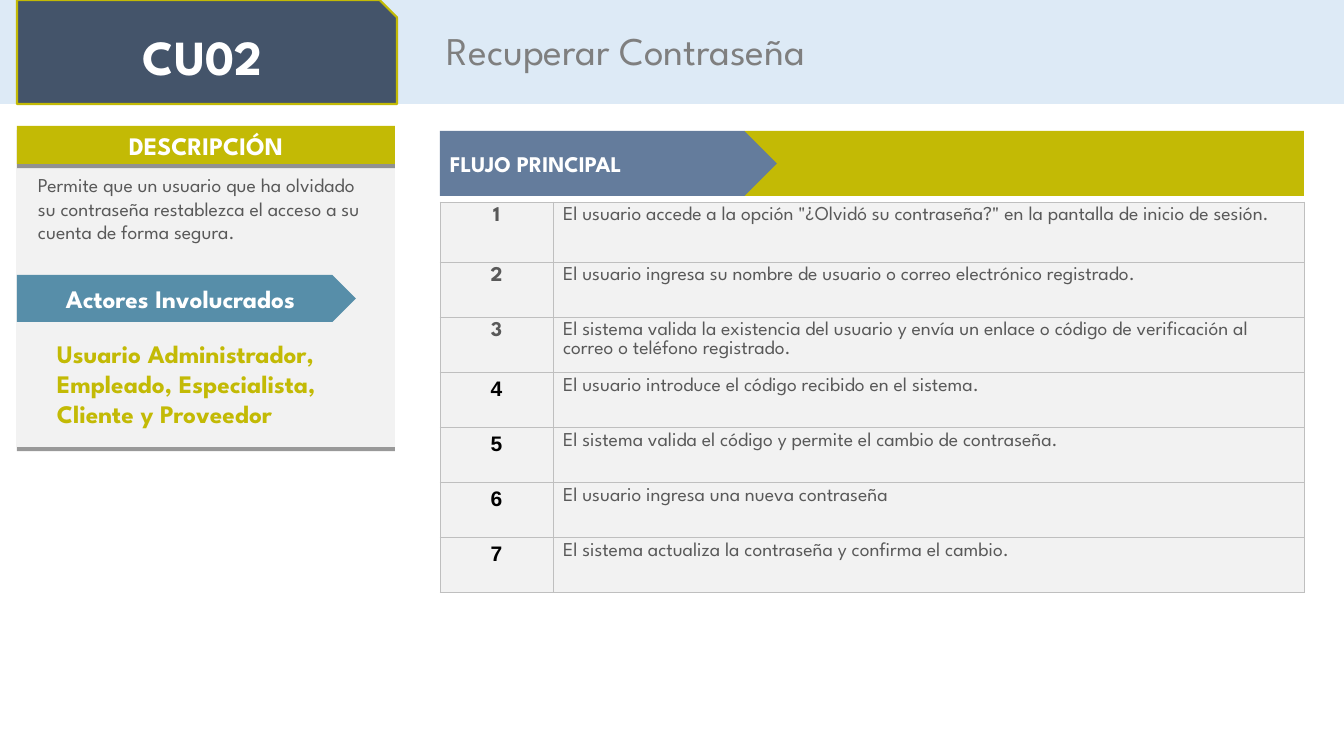
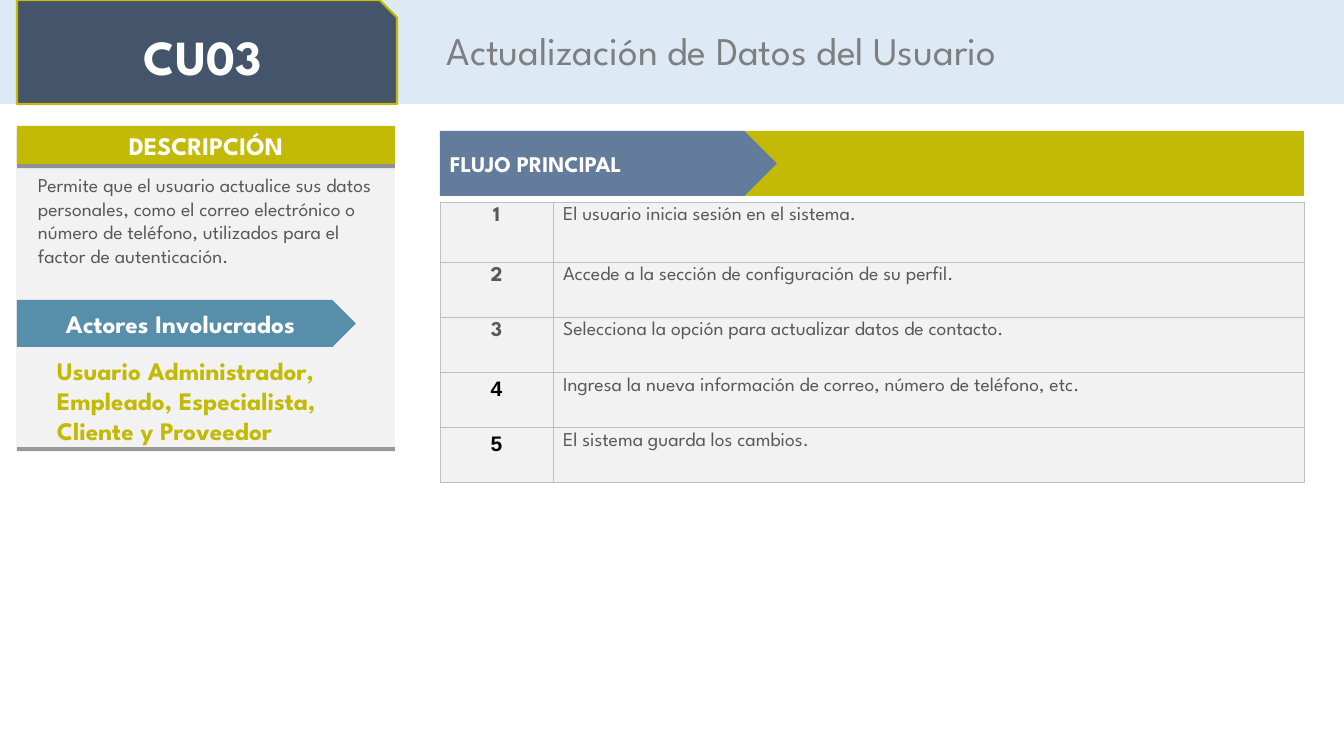
from lxml import etree
from pptx import Presentation
from pptx.dml.color import RGBColor
from pptx.enum.shapes import MSO_SHAPE
from pptx.enum.text import MSO_ANCHOR, PP_ALIGN
from pptx.oxml import parse_xml
from pptx.oxml.ns import nsdecls, qn
from pptx.util import Emu, Pt

RECTANGLE = MSO_SHAPE.RECTANGLE
PENTAGON = MSO_SHAPE.PENTAGON
SNIPPED = MSO_SHAPE.SNIP_1_RECTANGLE
LEFT, CENTER = PP_ALIGN.LEFT, PP_ALIGN.CENTER
TOP, MIDDLE = MSO_ANCHOR.TOP, MSO_ANCHOR.MIDDLE

EMU_PER_PX = 12192000 / 1344
SLIDE_WIDTH, SLIDE_HEIGHT = 1344, 756
HEADER_HEIGHT = 104
FONT, NUMBER_FONT = "League Spartan", "Arial"

COLORS = {
    "header": "DDEAF6",
    "panel": "F2F2F2",
    "lime": "C3BA05",
    "navy": "44546A",
    "teal": "578EA9",
    "slate": "647C9C",
    "border": "BFBFBF",
    "body": "595959",
    "title": "7F7F7F",
    "white": "FFFFFF",
    "black": "000000",
}

ACTORS = "Usuario Administrador, Empleado, Especialista, Cliente y Proveedor"
USE_CASES = [
    {
        "code": "CU02",
        "title": "Recuperar Contraseña",
        "description": "Permite que un usuario que ha olvidado su contraseña "
        "restablezca el acceso a su cuenta de forma segura.",
        "actors_offset": 149,
        "names_offset": 207,
        "steps": [
            'El usuario accede a la opción "¿Olvidó su contraseña?" en la pantalla de inicio de sesión.',
            "El usuario ingresa su nombre de usuario o correo electrónico registrado.",
            "El sistema valida la existencia del usuario y envía un enlace o código de "
            "verificación al correo o teléfono registrado.",
            "El usuario introduce el código recibido en el sistema.",
            "El sistema valida el código y permite el cambio de contraseña.",
            "El usuario ingresa una nueva contraseña",
            "El sistema actualiza la contraseña y confirma el cambio.",
        ],
    },
    {
        "code": "CU03",
        "title": "Actualización de Datos del Usuario",
        "description": "Permite que el usuario actualice sus datos personales, como el correo "
        "electrónico o número de teléfono, utilizados para el factor de autenticación.",
        "actors_offset": 174,
        "names_offset": 224,
        "steps": [
            "El usuario inicia sesión en el sistema.",
            "Accede a la sección de configuración de su perfil.",
            "Selecciona la opción para actualizar datos de contacto.",
            "Ingresa la nueva información de correo, número de teléfono, etc.",
            "El sistema guarda los cambios.",
        ],
    },
]


def px(length):
    return Emu(round(length * EMU_PER_PX))


def rgb(name):
    return RGBColor.from_string(COLORS[name])


def write_text(frame, text, size=14, color="body", bold=False, font=FONT,
               align=LEFT, anchor=TOP):
    frame.word_wrap = True
    frame.vertical_anchor = anchor
    paragraph = frame.paragraphs[0]
    paragraph.alignment = align
    run = paragraph.add_run()
    run.text = text
    run.font.name = font
    run.font.size = Pt(size)
    run.font.bold = bold
    run.font.color.rgb = rgb(color)


def add_block(slide, kind, left, top, width, height, fill, line=None):
    shape = slide.shapes.add_shape(kind, px(left), px(top), px(width), px(height))
    shape.shadow.inherit = False
    shape.fill.solid()
    shape.fill.fore_color.rgb = rgb(fill)
    if line:
        shape.line.color.rgb = rgb(line)
        shape.line.width = Pt(1.5)
    else:
        shape.line.fill.background()
    return shape


def add_label(slide, text, left, top, width, height, **text_format):
    box = slide.shapes.add_textbox(px(left), px(top), px(width), px(height))
    write_text(box.text_frame, text, **text_format)


def cast_shadow(shape):
    effects = shape.element.spPr.find(qn("a:effectLst"))
    effects.append(parse_xml(
        f'<a:outerShdw {nsdecls("a")} blurRad="0" dist="{Pt(3)}" dir="5400000" rotWithShape="0">'
        f'<a:srgbClr val="{COLORS["black"]}"><a:alpha val="40000"/></a:srgbClr></a:outerShdw>'))


def outline_cell(cell):
    properties = cell._tc.get_or_add_tcPr()
    for position, side in enumerate(("lnL", "lnR", "lnT", "lnB")):
        border = parse_xml(f'<a:{side} {nsdecls("a")} w="{Pt(0.75)}"/>')
        fill = etree.SubElement(border, qn("a:solidFill"))
        etree.SubElement(fill, qn("a:srgbClr"), val=COLORS["border"])
        properties.insert(position, border)


def add_header(slide, code, title):
    add_block(slide, RECTANGLE, 0, 0, SLIDE_WIDTH, HEADER_HEIGHT, "header")
    tab = add_block(slide, SNIPPED, 17, 0, 380, HEADER_HEIGHT, "navy", line="lime")
    write_text(tab.text_frame, code, size=35, color="white", bold=True, align=CENTER, anchor=MIDDLE)
    add_label(slide, title, 437, 21, 836, 57, size=28, color="title")


def add_summary(slide, use_case, left, top, width):
    heading_height = 38
    panel = add_block(slide, RECTANGLE, left, top + heading_height, width, 283, "panel")
    heading = add_block(slide, RECTANGLE, left, top, width, heading_height, "lime")
    for shape in (panel, heading):
        cast_shadow(shape)
    arrow = add_block(slide, PENTAGON, left, top + use_case["actors_offset"], 339, 47, "teal")
    for shape, text in ((heading, "DESCRIPCIÓN"), (arrow, "Actores Involucrados")):
        write_text(shape.text_frame, text, size=18, color="white", bold=True,
                   align=CENTER, anchor=MIDDLE)
    add_label(slide, use_case["description"], left + 11, top + 42, 358, 84)
    add_label(slide, ACTORS, left + 30, top + use_case["names_offset"], 318, 40,
              size=18, color="lime", bold=True)


def add_flow(slide, steps, left, top, width):
    banner_height = 65
    add_block(slide, RECTANGLE, left + 304, top, width - 304, banner_height, "lime")
    banner = add_block(slide, PENTAGON, left, top, 337, banner_height, "slate")
    write_text(banner.text_frame, "FLUJO PRINCIPAL", size=16, color="white", bold=True, anchor=MIDDLE)

    heights = [60] + [55.2] * (len(steps) - 1)
    table = slide.shapes.add_table(len(steps), 2, px(left), px(top + 71),
                                   px(width), px(sum(heights))).table
    table.first_row = table.horz_banding = False
    for column, column_width in zip(table.columns, (113, width - 113)):
        column.width = px(column_width)
    for index, (step, height) in enumerate(zip(steps, heights)):
        table.rows[index].height = px(height)
        number, detail = table.rows[index].cells
        number_style = {"font": FONT, "color": "body"} if index < 3 else {
            "font": NUMBER_FONT, "color": "black"}
        write_text(number.text_frame, str(index + 1), size=15, bold=True,
                   align=CENTER, **number_style)
        write_text(detail.text_frame, step)
        for cell in (number, detail):
            cell.margin_bottom = px(2)
            cell.fill.solid()
            cell.fill.fore_color.rgb = rgb("panel")
            outline_cell(cell)


def add_use_case(presentation, use_case):
    slide = presentation.slides.add_slide(presentation.slide_layouts[6])
    add_header(slide, use_case["code"], use_case["title"])
    add_summary(slide, use_case, 17, 126, 378)
    add_flow(slide, use_case["steps"], 440, 131, 864)


def main():
    presentation = Presentation()
    presentation.slide_width = px(SLIDE_WIDTH)
    presentation.slide_height = px(SLIDE_HEIGHT)
    for use_case in USE_CASES:
        add_use_case(presentation, use_case)
    presentation.save("out.pptx")


if __name__ == "__main__":
    main()
